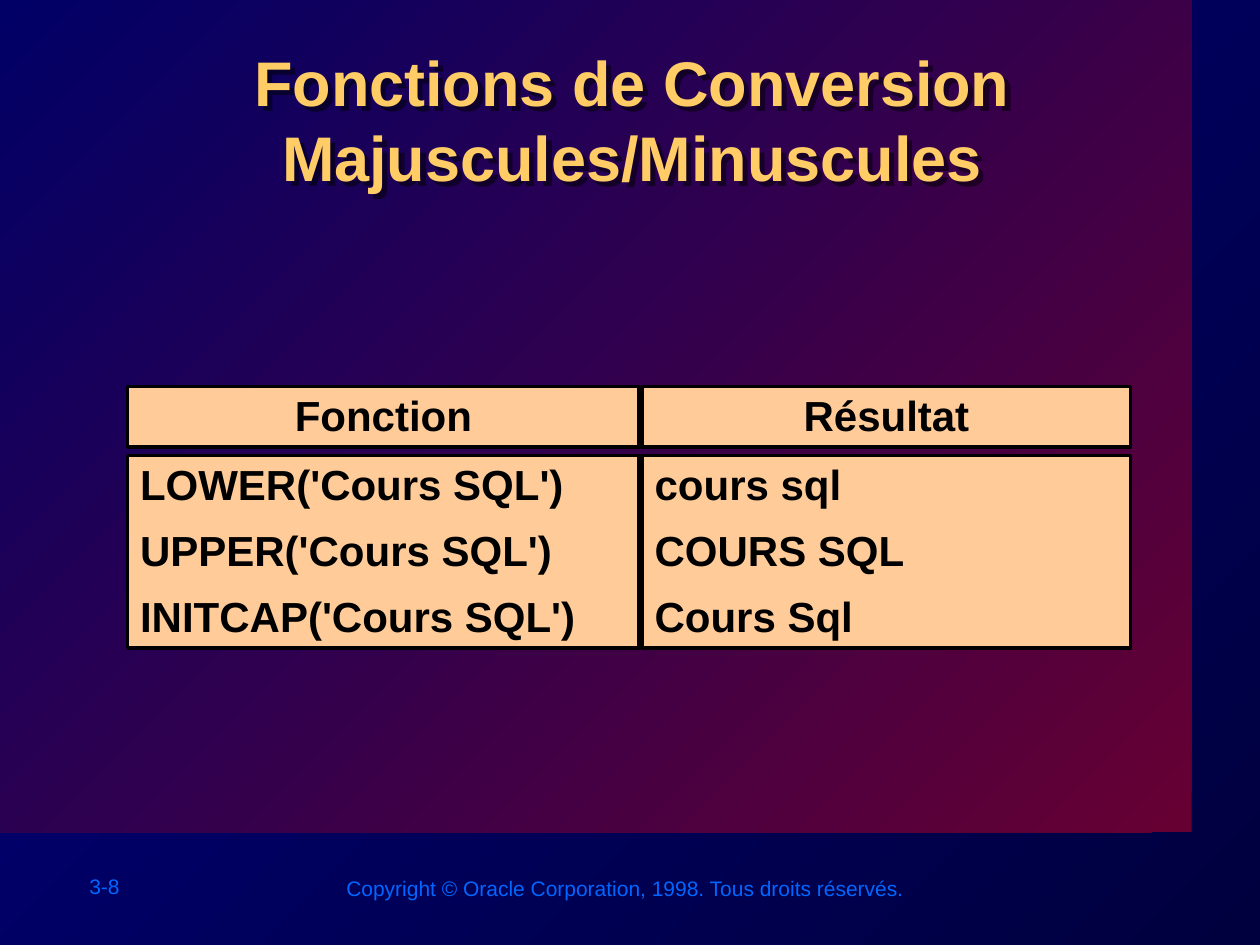
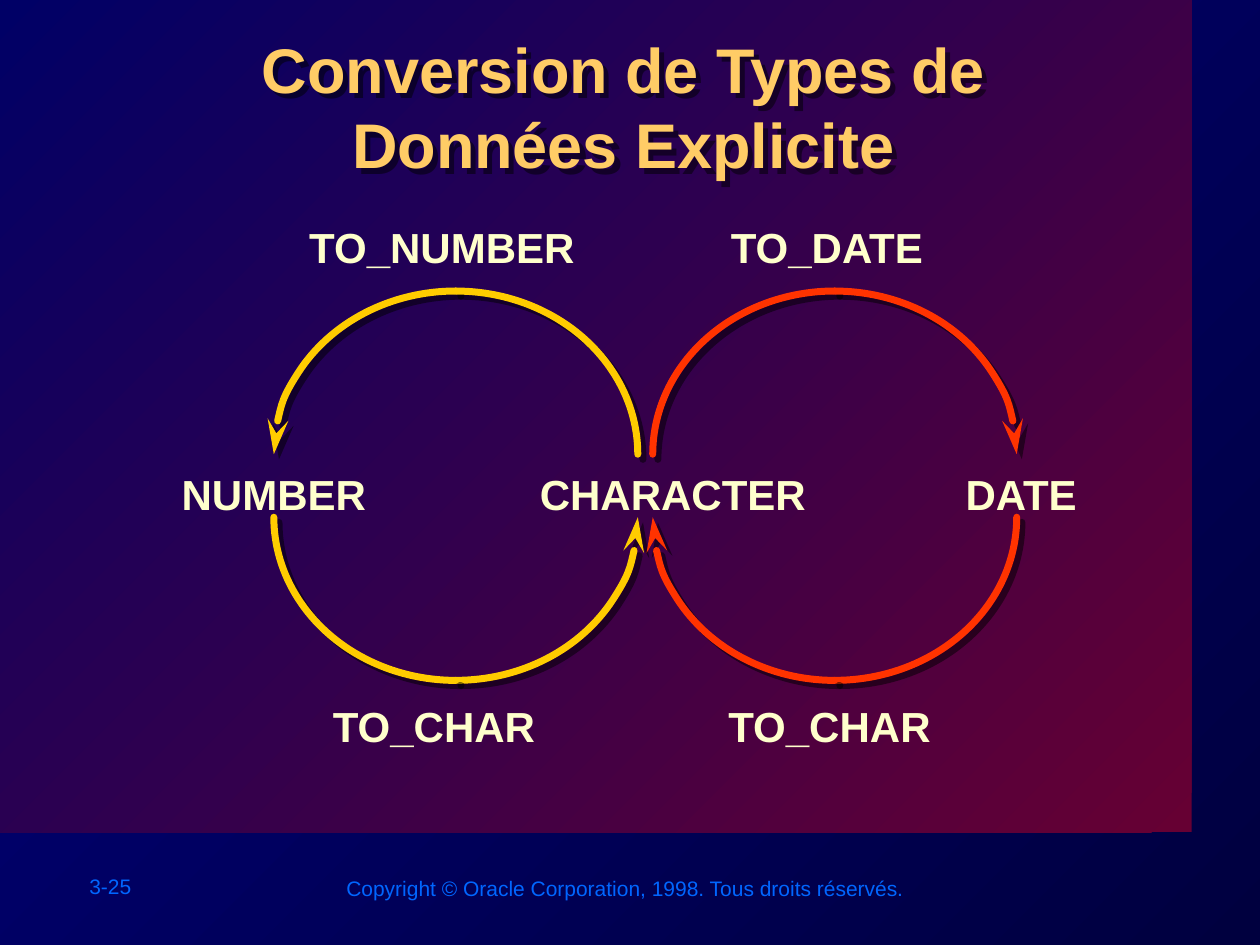
"""Build two SQL course slides: case functions and explicit type conversion."""
from lxml.etree import SubElement
from pptx import Presentation
from pptx.dml.color import RGBColor
from pptx.enum.shapes import MSO_SHAPE as Preset
from pptx.enum.text import MSO_ANCHOR as Anchor, MSO_AUTO_SIZE as AutoSize, PP_ALIGN as Align
from pptx.oxml.ns import qn
from pptx.util import Pt

BLACK = RGBColor(0x00, 0x00, 0x00)
NIGHT = RGBColor(0x00, 0x00, 0x3F)
NAVY = RGBColor(0x00, 0x00, 0x80)
WINE = RGBColor(0x66, 0x00, 0x33)
INDIGO = RGBColor(0x00, 0x00, 0x66)
FOOTER_BLUE = RGBColor(0x00, 0x66, 0xFF)
GOLD = RGBColor(0xFF, 0xCC, 0x66)
PEACH = RGBColor(0xFF, 0xCC, 0x99)
CREAM = RGBColor(0xFF, 0xFF, 0xCC)
YELLOW = RGBColor(0xFF, 0xCC, 0x00)
RED = RGBColor(0xFF, 0x33, 0x00)

FONT = "Arial"
COPYRIGHT = "Copyright © Oracle Corporation, 1998. Tous droits réservés."
ARC_WIDTH, ARC_HEIGHT = 208, 186.5


def points(*lengths):
    """Turn plain numbers into point lengths."""
    return [Pt(length) for length in lengths]


def write_text(frame, lines, size=24, color=CREAM, bold=True, align=Align.LEFT,
               spacing=1.0, before=0):
    """Fill a text frame with one paragraph per line."""
    frame.word_wrap = True
    frame.auto_size = AutoSize.NONE
    frame.vertical_anchor = Anchor.TOP
    frame.margin_left = frame.margin_right = Pt(7.2)
    frame.margin_top = frame.margin_bottom = Pt(3.6)
    for index, line in enumerate(lines):
        para = frame.add_paragraph() if index else frame.paragraphs[0]
        para.alignment = align
        para.line_spacing = spacing
        para.space_before = Pt(before if index else 0)
        span = para.add_run()
        span.text = line
        span.font.name, span.font.size = FONT, Pt(size)
        span.font.bold, span.font.color.rgb = bold, color


def fill_diagonal(fill, start, end):
    """Apply a gradient from the lower right to the upper left."""
    fill.gradient()
    fill.gradient_angle = 135
    for stop, color, position in zip(fill.gradient_stops, (start, end), (0, 1)):
        stop.color.rgb, stop.position = color, position


def cast_shadow(shape):
    """Give a shape a hard half-transparent shadow to the lower right."""
    shape.shadow.inherit = False
    effects = shape.element.spPr.find(qn("a:effectLst"))
    shadow = SubElement(effects, qn("a:outerShdw"), blurRad="0", dist=str(Pt(4.2)),
                        dir="2700000", algn="ctr", rotWithShape="0")
    color = SubElement(shadow, qn("a:srgbClr"), val=str(BLACK))
    SubElement(color, qn("a:alpha"), val="50000")


def add_label(slide, text, left, top, width, height=36, **style):
    """Add a text box."""
    box = slide.shapes.add_textbox(*points(left, top, width, height))
    write_text(box.text_frame, [text], **style)


def add_cell(slide, lines, left, top, width, height, **style):
    """Add a peach box with a black border."""
    cell = slide.shapes.add_shape(Preset.RECTANGLE, *points(left, top, width, height))
    cell.shadow.inherit = False
    cell.fill.solid()
    cell.fill.fore_color.rgb = PEACH
    cell.line.color.rgb, cell.line.width = BLACK, Pt(2)
    write_text(cell.text_frame, lines, color=BLACK, spacing=0.95, before=10.5, **style)


def add_quarter(slide, left, top, start, color, arrow=None):
    """Add a clockwise quarter ellipse, with an arrowhead at the given end."""
    arc = slide.shapes.add_shape(Preset.ARC, *points(left, top, ARC_WIDTH, ARC_HEIGHT))
    arc.adjustments[0] = start * 0.6
    arc.adjustments[1] = (start + 90) % 360 * 0.6
    arc.fill.background()
    arc.line.color.rgb, arc.line.width = color, Pt(4)
    line = arc.element.spPr.get_or_add_ln()
    line.set("cap", "rnd")
    SubElement(line, qn("a:round"))
    if arrow:
        SubElement(line, qn(f"a:{arrow}"), type="stealth", w="med", len="lg")
    cast_shadow(arc)


def add_half(slide, left, top, start, color, arrow):
    """Join two quarters into a half ellipse with one arrowhead."""
    first, second = (arrow, None) if arrow == "headEnd" else (None, arrow)
    add_quarter(slide, left, top, start, color, first)
    add_quarter(slide, left, top, start + 90, color, second)


def add_page(deck, title_text, number, left, top, height):
    """Add a slide with the shared band, footers and title style."""
    slide = deck.slides.add_slide(deck.slide_layouts[5])
    fill_diagonal(slide.background.fill, NIGHT, NAVY)
    band = slide.shapes.add_shape(Preset.RECTANGLE, *points(0, 0, 681, 475.5))
    band.shadow.inherit = False
    band.line.fill.background()
    fill_diagonal(band.fill, WINE, INDIGO)
    footer = dict(height=21.6, size=12, color=FOOTER_BLUE, bold=False)
    add_label(slide, number, 44, 495.5, 80, **footer)
    add_label(slide, COPYRIGHT, 190.8, 497, 336, **footer)
    title = slide.shapes.title
    title.element.getparent().append(title.element)
    title.left, title.top, title.width, title.height = points(left, top, 574.5, height)
    write_text(title.text_frame, [title_text], size=36, color=GOLD, align=Align.CENTER)
    cast_shadow(title)
    return slide


def build_case_functions(deck):
    """Build the slide on upper and lower case functions."""
    slide = add_page(deck, "Fonctions de Conversion Majuscules/Minuscules", "3-8",
                     74, 21, 106.5)
    columns = [
        ("Fonction", 73, 292.3,
         ["LOWER('Cours SQL')", "UPPER('Cours SQL')", "INITCAP('Cours SQL')"]),
        ("Résultat", 367, 279, ["cours sql", "COURS SQL", "Cours Sql"]),
    ]
    for heading, left, width, entries in columns:
        add_cell(slide, [heading], left, 221, width, 34.6, align=Align.CENTER)
        add_cell(slide, entries, left, 260.3, width, 110)


def build_type_conversion(deck):
    """Build the slide on explicit data type conversion."""
    slide = add_page(deck, "Conversion de Types de Données Explicite", "3-25",
                     69, 13.7, 69)
    for left, color, arrow in ((156.5, YELLOW, "headEnd"), (373, RED, "tailEnd")):
        add_half(slide, left, 202.3, 0, color, arrow)
        add_half(slide, left, 166.3, 180, color, arrow)
    labels = [
        ("TO_NUMBER", 150, 123, 205), ("TO_DATE", 370, 123, 205),
        ("NUMBER", 54, 264, 205), ("CHARACTER", 282, 264, 205), ("DATE", 515, 264, 137),
        ("TO_CHAR", 145.5, 396.5, 205), ("TO_CHAR", 371.5, 396.5, 205),
    ]
    for text, left, top, width in labels:
        add_label(slide, text, left, top, width, align=Align.CENTER)


def main():
    """Create and save the deck."""
    deck = Presentation()
    deck.slide_width, deck.slide_height = points(720, 540)
    build_case_functions(deck)
    build_type_conversion(deck)
    deck.save("out.pptx")


if __name__ == "__main__":
    main()
